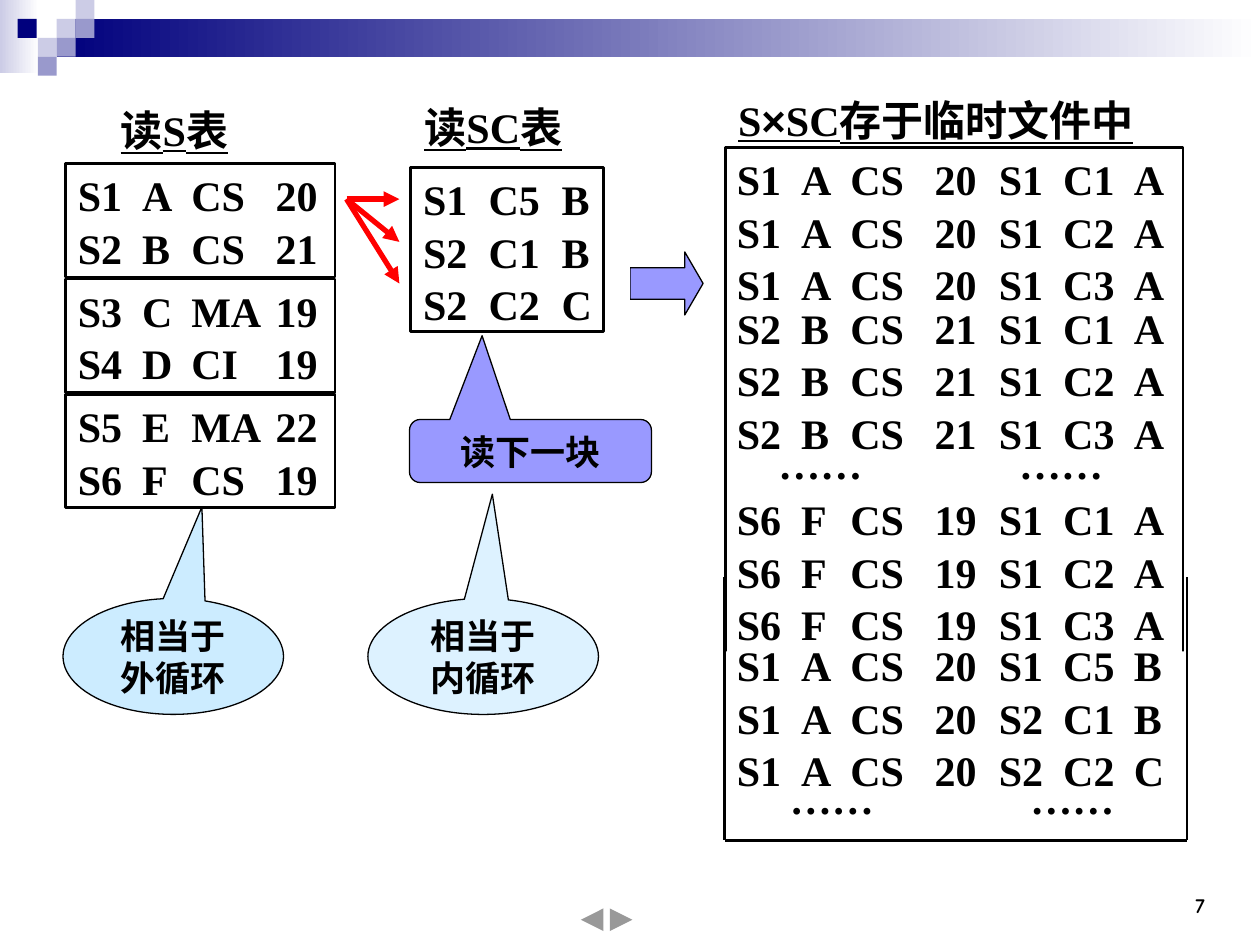
from pptx import Presentation
from pptx.dml.color import RGBColor
from pptx.enum.shapes import MSO_CONNECTOR, MSO_SHAPE as SHAPE
from pptx.enum.text import MSO_ANCHOR as ANCHOR, PP_ALIGN as ALIGN
from pptx.oxml.ns import qn
from pptx.util import Inches, Pt
from lxml.etree import SubElement

COLORS = {
    "black": "000000", "white": "FFFFFF", "red": "FF0000", "navy": "00007D",
    "pale": "CCCCE6", "mauve": "9999CC", "violet": "9999FF",
    "sky": "CCECFF", "ice": "DDF2FF",
}
SERIF = "Times New Roman"
RECORD_TABS = (0.51, 0.9, 1.57, 2.08, 2.59, 3.15)
COURSE_TABS = (0.52, 1.1)
DOTS_TABS = (1.91,)


def color(name):
    """Return the named colour."""
    return RGBColor.from_string(COLORS[name])


def add_shape(page, kind, place, fill=None, line=None, adjustments=()):
    """Add a preset shape with plain fill and outline width."""
    shape = page.shapes.add_shape(kind, *map(Inches, place))
    shape.shadow.inherit = False
    for index, value in enumerate(adjustments):
        shape.adjustments[index] = value
    if fill:
        shape.fill.solid()
        shape.fill.fore_color.rgb = color(fill)
    else:
        shape.fill.background()
    if line:
        shape.line.color.rgb = color("black")
        shape.line.width = Pt(line)
    else:
        shape.line.fill.background()
    return shape


def add_gradient(page, place, start):
    """Add a band fading from a colour to white."""
    band = add_shape(page, SHAPE.RECTANGLE, place, start)
    band.fill.gradient()
    band.fill.gradient_angle = 0
    for stop, name in zip(band.fill.gradient_stops, (start, "white")):
        stop.color.rgb = color(name)


def format_span(span, size, font=SERIF, underline=None):
    """Style a run in bold black."""
    span.font.name = font
    span.font.size = Pt(size)
    span.font.bold = True
    span.font.underline = underline
    span.font.color.rgb = color("black")


def write_text(box, text, size=24, align=ALIGN.LEFT, anchor=ANCHOR.TOP, font=SERIF):
    """Write paragraphs into a shape or text box."""
    frame = box.text_frame
    frame.word_wrap = True
    frame.vertical_anchor = anchor
    frame.margin_right = Inches(0.1) if align == ALIGN.RIGHT else 0
    if align == ALIGN.CENTER:
        frame.margin_left = 0
    frame.text = text
    for para in frame.paragraphs:
        para.alignment = align
        for span in para.runs:
            format_span(span, size, font)


def add_title(page, place, *parts):
    """Add an underlined title made of text and font pairs."""
    box = page.shapes.add_textbox(*map(Inches, place))
    box.text_frame.word_wrap = True
    box.text_frame.margin_right = 0
    para = box.text_frame.paragraphs[0]
    for text, font in parts:
        span = para.add_run()
        span.text = text
        format_span(span, 24, font, True)


def add_rows(page, place, rows, tabs=RECORD_TABS, line=None):
    """Add tabbed rows, outlined when a line width is given."""
    if line:
        box = add_shape(page, SHAPE.RECTANGLE, place, line=line)
    else:
        box = page.shapes.add_textbox(*map(Inches, place))
    write_text(box, "\n".join(rows).replace(" ", "\t"))
    for index, para in enumerate(box.text_frame.paragraphs):
        stops = SubElement(para._p.get_or_add_pPr(), qn("a:tabLst"))
        for tab in tabs:
            SubElement(stops, qn("a:tab"), pos=str(Inches(tab)), algn="l")
        if index:
            para.space_before = Pt(1.2)


def add_callout(page, kind, place, fill, adjustments, text):
    """Add a callout with centred text."""
    callout = add_shape(page, kind, place, fill, 0.75, adjustments)
    write_text(callout, text, 20, ALIGN.CENTER, ANCHOR.MIDDLE)


def add_line(page, start, end, name="black", width=1.5, arrow=False):
    """Add a straight line, optionally with an arrowhead."""
    line = page.shapes.add_connector(MSO_CONNECTOR.STRAIGHT, *map(Inches, start + end))
    line.line.color.rgb = color(name)
    line.line.width = Pt(width)
    if arrow:
        SubElement(line.line._get_or_add_ln(), qn("a:tailEnd"), type="triangle")
    SubElement(line._element.spPr, qn("a:effectLst"))


def add_banner(page):
    """Add the gradient bands and the checkered squares."""
    add_gradient(page, (0, 0, 0.31, 0.58), "pale")
    add_gradient(page, (0.45, 0.15, 9.55, 0.3), "navy")
    squares = ((0.45, 0.15, "pale"), (0.6, 0, "pale"), (0.6, 0.15, "mauve"),
               (0.3, 0.3, "pale"), (0.14, 0.15, "navy"), (0.45, 0.3, "mauve"),
               (0.3, 0.45, "mauve"))
    for left, top, name in squares:
        add_shape(page, SHAPE.RECTANGLE, (left, top, 0.15, 0.15), name)


def add_footer(page):
    """Add the page number and the navigation buttons."""
    number = page.shapes.add_textbox(*map(Inches, (8.83, 6.83, 0.83, 0.5)))
    write_text(number, "7", 12, ALIGN.RIGHT, ANCHOR.BOTTOM, "Comic Neue")
    add_shape(page, SHAPE.ACTION_BUTTON_FORWARD_OR_NEXT, (4.81, 7.18, 0.24, 0.24), "white")
    add_shape(page, SHAPE.ACTION_BUTTON_BACK_OR_PREVIOUS, (4.58, 7.18, 0.24, 0.24), "white")


def add_students(page):
    """Add the blocks of the outer table."""
    add_title(page, (0.86, 0.78, 1.3, 0.5), ("读S表", SERIF))
    blocks = (("S1 A CS 20", "S2 B CS 21"), ("S3 C MA 19", "S4 D CI 19"),
              ("S5 E MA 22", "S6 F CS 19"))
    for index, rows in enumerate(blocks):
        add_rows(page, (0.52, 1.3 + 0.915 * index, 2.14, 0.9), rows, RECORD_TABS[:3], 1.5)


def add_courses(page):
    """Add the block of the inner table."""
    add_title(page, (3.27, 0.76, 1.55, 0.5), ("读SC表", SERIF))
    add_shape(page, SHAPE.RECTANGLE, (3.25, 1.25, 1.75, 1.42), "white")
    add_rows(page, (3.26, 1.33, 1.53, 1.3), ("S1 C5 B", "S2 C1 B", "S2 C2 C"),
             COURSE_TABS, 1.5)


def add_product(page):
    """Add the joined rows held in the temporary file."""
    add_title(page, (5.76, 0.7, 3.6, 0.5), ("S", SERIF), ("×", "Arial"),
              ("SC存于临时文件中", SERIF))
    add_shape(page, SHAPE.RECTANGLE, (5.76, 1.17, 3.63, 4.1), line=1.5)
    add_shape(page, SHAPE.RECTANGLE, (5.67, 5.17, 3.92, 0.25), "white")
    left, right, top, bottom = 5.75, 9.42, 4.58, 6.67
    add_line(page, (left, top), (left, bottom))
    add_line(page, (right, top), (right, bottom))
    add_line(page, (left, bottom), (right, bottom))
    first_block, next_block = ("S1 C1 A", "S1 C2 A", "S1 C3 A"), ("S1 C5 B", "S2 C1 B", "S2 C2 C")
    groups = ((1.17, "S1 A CS 20", first_block), (2.35, "S2 B CS 21", first_block),
              (3.87, "S6 F CS 19", first_block), (5.03, "S1 A CS 20", next_block))
    for top, student, courses in groups:
        add_rows(page, (5.75, top, 3.67, 1.3), [f"{student} {course}" for course in courses])
    for left, top in ((6.08, 3.42), (6.17, 6.08)):
        add_rows(page, (left, top, 2.86, 0.5), ["…… ……"], DOTS_TABS)


def main():
    """Build the nested loop join slide."""
    deck = Presentation()
    deck.slide_width, deck.slide_height = Inches(10), Inches(7.5)
    page = deck.slides.add_slide(deck.slide_layouts[6])
    add_banner(page)
    add_footer(page)
    add_students(page)
    add_product(page)
    add_shape(page, SHAPE.RIGHT_ARROW, (5, 2, 0.58, 0.5), "violet", 0.75, (0.5, 0.29))
    add_courses(page)
    add_callout(page, SHAPE.ROUNDED_RECTANGULAR_CALLOUT, (3.25, 3.33, 1.92, 0.5),
                "violet", (-0.2, -1.83, 0.17), "读下一块")
    add_callout(page, SHAPE.OVAL_CALLOUT, (0.5, 4.75, 1.75, 0.92),
                "sky", (0.13, -1.29), "相当于\n外循环")
    add_callout(page, SHAPE.OVAL_CALLOUT, (2.92, 4.75, 1.83, 0.92),
                "ice", (0.04, -1.4), "相当于\n内循环")
    for end in (1.58, 1.92, 2.25):
        add_line(page, (2.75, 1.58), (3.17, end), "red", 3, True)
    deck.save("out.pptx")


if __name__ == "__main__":
    main()
